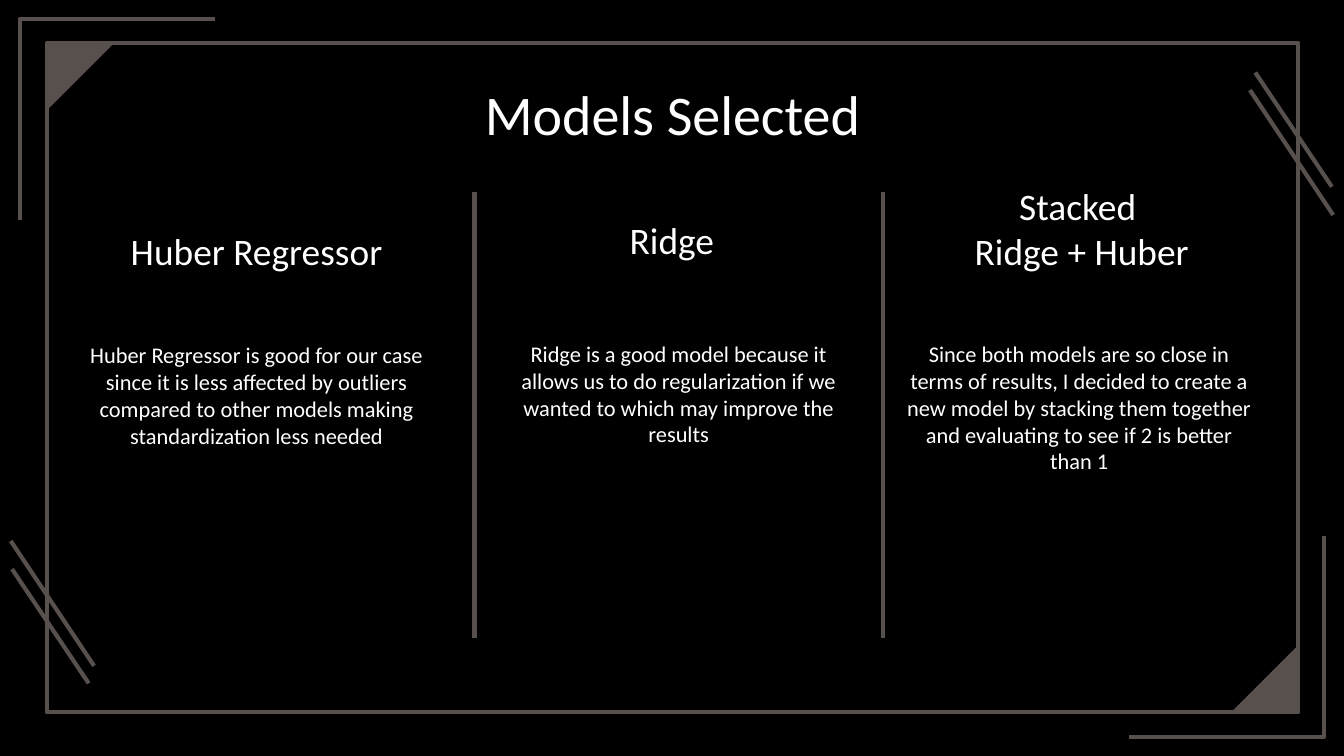
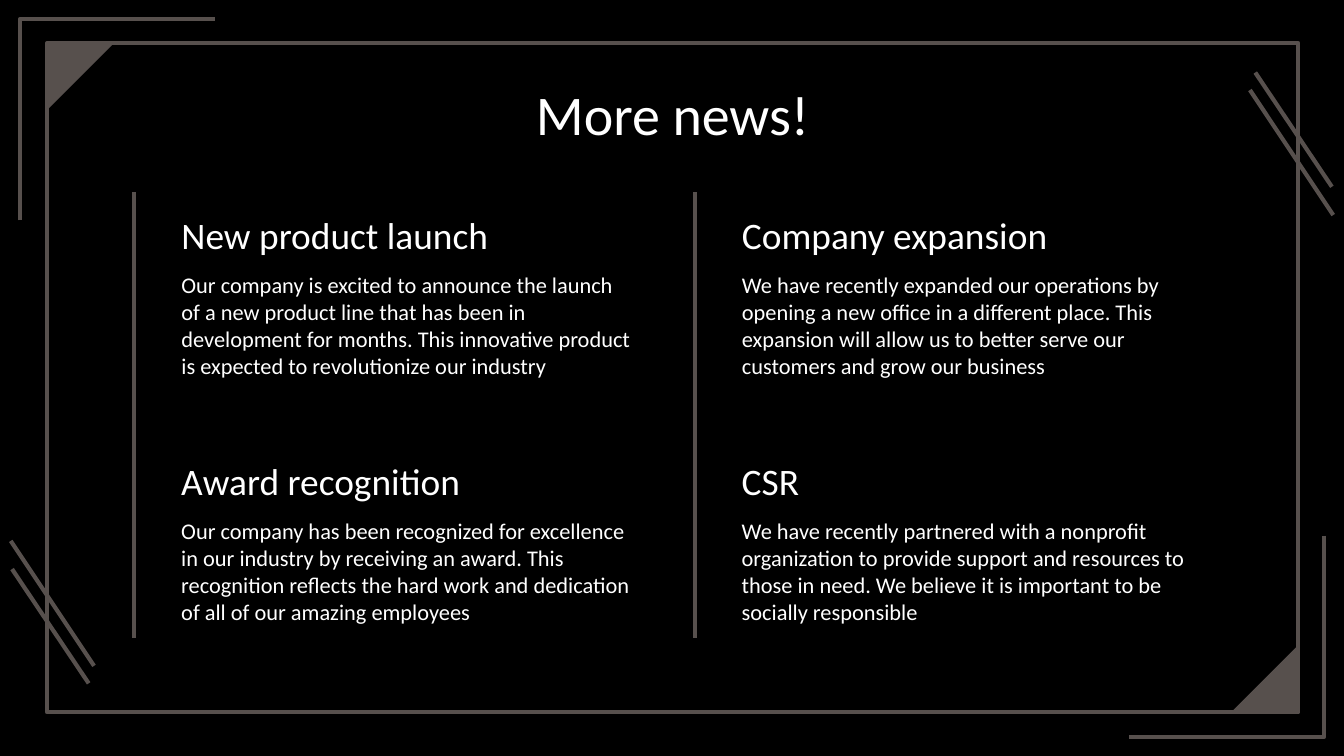
from dataclasses import dataclass

from lxml import etree
from pptx import Presentation
from pptx.dml.color import RGBColor
from pptx.enum.shapes import MSO_CONNECTOR, MSO_SHAPE
from pptx.enum.text import MSO_ANCHOR, MSO_AUTO_SIZE, PP_ALIGN
from pptx.oxml.ns import qn
from pptx.util import Inches, Pt

RECTANGLE = MSO_SHAPE.RECTANGLE
TRIANGLE = MSO_SHAPE.RIGHT_TRIANGLE
STRAIGHT = MSO_CONNECTOR.STRAIGHT
TOP, BOTTOM = MSO_ANCHOR.TOP, MSO_ANCHOR.BOTTOM
LEFT, CENTER = PP_ALIGN.LEFT, PP_ALIGN.CENTER
NO_AUTOFIT = MSO_AUTO_SIZE.NONE

COLORS = {"background": "000000", "text": "FFFFFF", "accent": "57504D"}
FONT = "Calibri"
LINE_WIDTH = Pt(2.25)
SLIDE_WIDTH = 10
SLIDE_HEIGHT = SLIDE_WIDTH * 9 / 16
COMPARISON_LAYOUT = 4
HEADING_INDEXES, BODY_INDEXES = (1, 3), (2, 4)
RULE_TOP, RULE_BOTTOM = 1.43, 4.75

Point = tuple[float, float]


@dataclass(frozen=True)
class Box:
    left: float
    top: float
    width: float
    height: float


@dataclass(frozen=True)
class TextStyle:
    size: int
    anchor: MSO_ANCHOR
    align: PP_ALIGN


@dataclass(frozen=True)
class Block:
    """A heading with the description under it."""
    heading: str
    heading_box: Box
    body: str
    body_box: Box


TITLE_BOX = Box(0.79, 0.49, 8.43, 0.63)
TITLE_STYLE = TextStyle(30, TOP, CENTER)
FRAME = Box(0.35, 0.32, 9.31, 4.98)
TRIANGLE_SIZE = 0.5
CORNER = [(0.15, 1.64), (0.15, 0.14), (1.6, 0.14)]
SLASHES = [[(9.91, 1.39), (9.34, 0.54)], [(9.92, 1.6), (9.3, 0.67)]]

# The first two blocks of a slide fill the placeholders of the layout.
MODELS = [
    Block(
        "Huber Regressor", Box(0.56, 1.55, 2.7, 0.58),
        "Huber Regressor is good for our case since it is less affected by "
        "outliers compared to other models making standardization less needed",
        Box(0.56, 2.44, 2.7, 1.72),
    ),
    Block(
        "Stacked \nRidge + Huber", Box(6.66, 1.55, 2.78, 0.58),
        "Since both models are so close in terms of results, I decided to "
        "create a new model by stacking them together and evaluating to see "
        "if 2 is better than 1",
        Box(6.62, 2.43, 2.82, 1.86),
    ),
    Block(
        "Ridge", Box(3.65, 1.47, 2.7, 0.58),
        "Ridge is a good model because it allows us to do regularization if "
        "we wanted to which may improve the results",
        Box(3.7, 2.43, 2.7, 1.73),
    ),
]

NEWS = [
    ("New product launch",
     "Our company is excited to announce the launch of a new product line "
     "that has been in development for months. This innovative product is "
     "expected to revolutionize our industry"),
    ("Company expansion",
     "We have recently expanded our operations by opening a new office in a "
     "different place. This expansion will allow us to better serve our "
     "customers and grow our business"),
    ("Award recognition",
     "Our company has been recognized for excellence in our industry by "
     "receiving an award. This recognition reflects the hard work and "
     "dedication of all of our amazing employees"),
    ("CSR",
     "We have recently partnered with a nonprofit organization to provide "
     "support and resources to those in need. We believe it is important to "
     "be socially responsible"),
]
NEWS_COLUMN_GAP, NEWS_ROW_GAP = 4.17, 1.83


def color(name: str) -> RGBColor:
    return RGBColor.from_string(COLORS[name])


def mirrored(points: list[Point]) -> list[Point]:
    """Turn points half a circle around the slide centre."""
    return [(SLIDE_WIDTH - x, SLIDE_HEIGHT - y) for x, y in points]


def style_line(shape) -> None:
    shape.line.color.rgb = color("accent")
    shape.line.width = LINE_WIDTH


def add_line(slide, start: Point, end: Point) -> None:
    line = slide.shapes.add_connector(
        STRAIGHT, *(Inches(value) for value in (*start, *end)))
    style_line(line)
    etree.SubElement(line._element.spPr, qn("a:effectLst"))


def add_corner(slide, points: list[Point]) -> None:
    start, *rest = [(Inches(x), Inches(y)) for x, y in points]
    builder = slide.shapes.build_freeform(*start)
    builder.add_line_segments(rest, close=False)
    corner = builder.convert_to_shape()
    corner.shadow.inherit = False
    corner.fill.background()
    style_line(corner)


def add_shape(slide, kind: MSO_SHAPE, box: Box):
    shape = slide.shapes.add_shape(
        kind, Inches(box.left), Inches(box.top),
        Inches(box.width), Inches(box.height))
    shape.shadow.inherit = False
    return shape


def add_triangle(slide, left: float, top: float, rotation: int) -> None:
    triangle = add_shape(
        slide, TRIANGLE, Box(left, top, TRIANGLE_SIZE, TRIANGLE_SIZE))
    triangle.rotation = rotation
    triangle.fill.solid()
    triangle.fill.fore_color.rgb = color("accent")
    triangle.line.fill.background()


def add_decoration(slide) -> None:
    frame = add_shape(slide, RECTANGLE, FRAME)
    frame.fill.background()
    style_line(frame)
    add_triangle(slide, FRAME.left, FRAME.top, 90)
    add_triangle(slide, FRAME.left + FRAME.width - TRIANGLE_SIZE,
                 FRAME.top + FRAME.height - TRIANGLE_SIZE, 270)
    for corner in (CORNER, mirrored(CORNER)):
        add_corner(slide, corner)
    for slash in SLASHES:
        add_line(slide, *slash)
        add_line(slide, *mirrored(slash))


def write_text(shape, box: Box, text: str, style: TextStyle) -> None:
    shape.left, shape.top = Inches(box.left), Inches(box.top)
    shape.width, shape.height = Inches(box.width), Inches(box.height)
    frame = shape.text_frame
    frame.text = text
    frame.word_wrap = True
    frame.auto_size = NO_AUTOFIT
    frame.vertical_anchor = style.anchor
    frame.margin_left = frame.margin_right = Inches(0.1)
    frame.margin_top = frame.margin_bottom = Inches(0.1)
    for paragraph in frame.paragraphs:
        properties = paragraph._p.get_or_add_pPr()
        properties.set("marL", "0")
        properties.set("indent", "0")
        etree.SubElement(properties, qn("a:buNone"))
        paragraph.space_before = Pt(0)
        paragraph.alignment = style.align
        paragraph.font.name = FONT
        paragraph.font.size = Pt(style.size)
        paragraph.font.bold = False
        paragraph.font.color.rgb = color("text")


def add_slide(presentation, title: str, blocks: list[Block],
              align: PP_ALIGN, rules: list[float]) -> None:
    """Add a framed slide with titled blocks and vertical rules."""
    layout = presentation.slide_layouts[COMPARISON_LAYOUT]
    slide = presentation.slides.add_slide(layout)
    slide.background.fill.solid()
    slide.background.fill.fore_color.rgb = color("background")
    add_decoration(slide)
    write_text(slide.shapes.title, TITLE_BOX, title, TITLE_STYLE)

    heading_style = TextStyle(20, BOTTOM, align)
    body_style = TextStyle(12, TOP, align)
    placeholders = {shape.placeholder_format.idx: shape
                    for shape in slide.placeholders}
    for number, block in enumerate(blocks):
        if number < len(HEADING_INDEXES):
            heading = placeholders[HEADING_INDEXES[number]]
            body = placeholders[BODY_INDEXES[number]]
        else:
            heading, body = (slide.shapes.add_textbox(0, 0, 0, 0)
                             for _ in range(2))
        write_text(heading, block.heading_box, block.heading, heading_style)
        write_text(body, block.body_box, block.body, body_style)

    for x in rules:
        add_line(slide, (x, RULE_TOP), (x, RULE_BOTTOM))


def news_blocks() -> list[Block]:
    blocks = []
    for number, (heading, body) in enumerate(NEWS):
        row, column = divmod(number, 2)
        left = 1.25 + column * NEWS_COLUMN_GAP
        top = RULE_TOP + row * NEWS_ROW_GAP
        blocks.append(Block(heading, Box(left, top, 3.58, 0.58),
                            body, Box(left, top + 0.49, 3.58, 1)))
    return blocks


def main() -> None:
    presentation = Presentation()
    presentation.slide_width = Inches(SLIDE_WIDTH)
    presentation.slide_height = Inches(SLIDE_HEIGHT)
    add_slide(presentation, "Models Selected", MODELS, CENTER, [3.53, 6.57])
    add_slide(presentation, "More news!", news_blocks(), LEFT,
              [1, 1 + NEWS_COLUMN_GAP])
    presentation.save("out.pptx")


if __name__ == "__main__":
    main()
